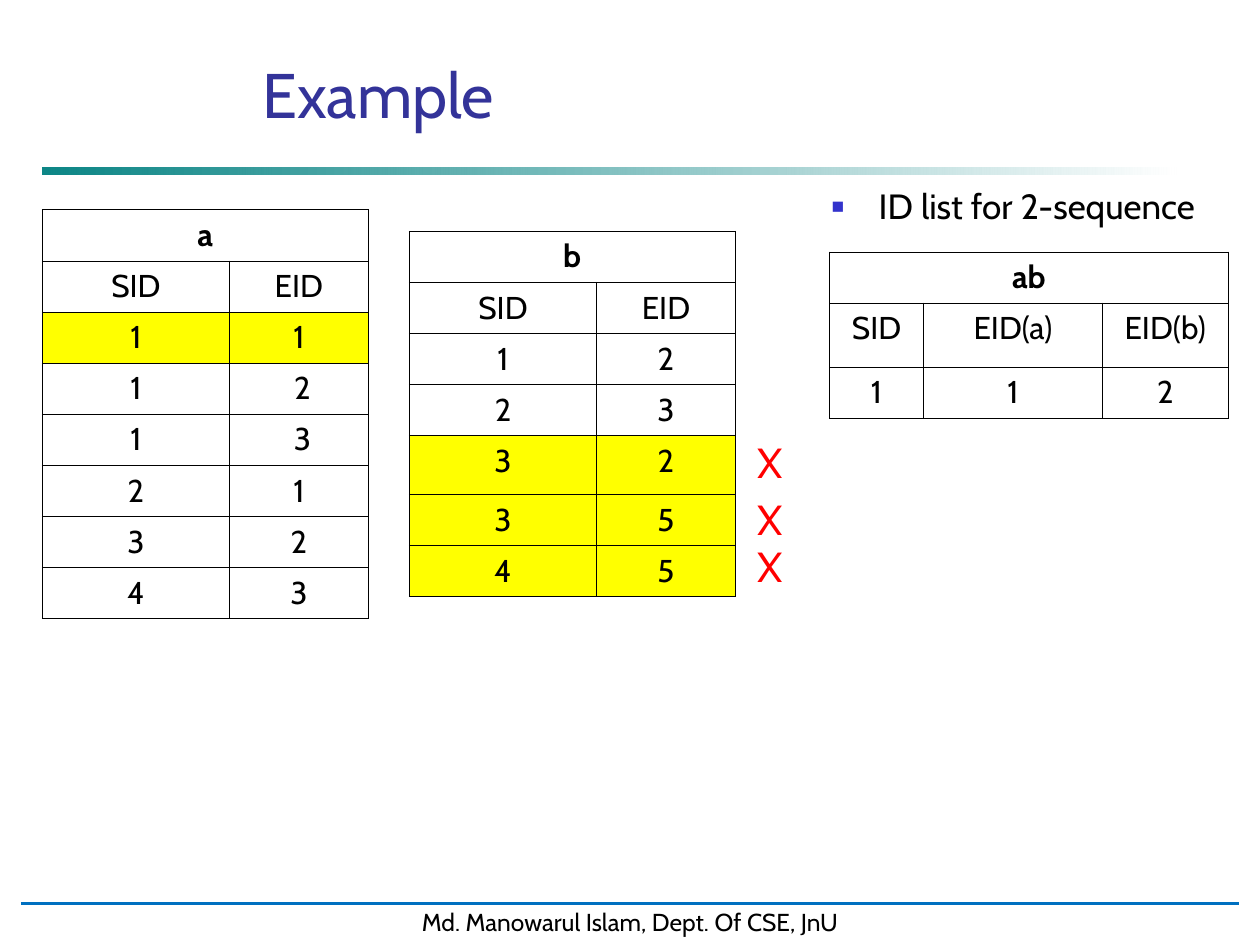
from lxml.etree import SubElement
from pptx import Presentation
from pptx.dml.color import RGBColor
from pptx.enum.shapes import MSO_CONNECTOR as LINK, MSO_SHAPE as SHAPE
from pptx.enum.text import MSO_ANCHOR as ANCHOR, MSO_AUTO_SIZE as AUTO, PP_ALIGN as ALIGN
from pptx.oxml import parse_xml
from pptx.oxml.ns import nsdecls, qn
from pptx.util import Cm, Pt

BLACK = RGBColor(0, 0, 0)
WHITE = RGBColor(255, 255, 255)
YELLOW = RGBColor(255, 255, 0)
RED = RGBColor(255, 0, 0)
INDIGO = RGBColor(0x33, 0x33, 0x99)
VIOLET = RGBColor(0x33, 0x33, 0xCC)
TEAL = RGBColor(0, 0x80, 0x80)
BLUE = RGBColor(0, 0x70, 0xC0)
FONT = "Cabin"
ROW = 1.03  # usual row height in cm


def write(frame, text, size=18, color=BLACK, bold=False, align=ALIGN.CENTER,
          anchor=ANCHOR.TOP, wrap=True):
    frame.word_wrap = wrap
    frame.vertical_anchor = anchor
    para = frame.paragraphs[0]
    para.alignment = align
    run = para.add_run()
    run.text = text
    font = run.font
    font.name, font.size, font.bold = FONT, Pt(size), bold
    font.color.rgb = color
    return para


def place(shape, left, top, width, height):
    shape.left, shape.top = Cm(left), Cm(top)
    shape.width, shape.height = Cm(width), Cm(height)


def border(cell):
    props = cell._tc.get_or_add_tcPr()
    for side in ("lnL", "lnR", "lnT", "lnB"):
        props.append(parse_xml(
            f'<a:{side} {nsdecls("a")} w="{Pt(0.45)}"><a:solidFill>'
            f'<a:srgbClr val="{BLACK}"/></a:solidFill></a:{side}>'))


def header(slide, left, top, width):
    title = slide.shapes.title
    place(title, left + 0.85, top, 11.85, 1.7)
    title.text_frame.auto_size = AUTO.NONE
    write(title.text_frame, "Example", size=36, color=INDIGO, anchor=ANCHOR.BOTTOM)

    # Fading rule under the title
    rule = slide.shapes.add_shape(SHAPE.RECTANGLE, Cm(left), Cm(top + 2.31),
                                  Cm(width), Cm(0.13))
    rule.shadow.inherit = False
    rule.line.fill.background()
    rule.fill.gradient()
    rule.fill.gradient_angle = 0
    for stop, color in zip(rule.fill.gradient_stops, (TEAL, WHITE)):
        stop.color.rgb = color
    first = rule._element.spPr.find(".//" + qn("a:srgbClr"))
    SubElement(first, qn("a:alpha"), val="95000")


def footer(slide, left, top, width):
    band = slide.shapes.add_shape(SHAPE.RECTANGLE, Cm(left), Cm(top),
                                  Cm(width), Cm(0.84))
    band.shadow.inherit = False
    band.fill.solid()
    band.fill.fore_color.rgb = WHITE
    band.line.color.rgb = WHITE
    band.line.width = Pt(2)
    write(band.text_frame, "Md. Manowarul Islam, Dept. Of CSE, JnU", size=14,
          anchor=ANCHOR.MIDDLE, wrap=False)

    line = slide.shapes.add_connector(LINK.STRAIGHT, Cm(left), Cm(top + 0.05),
                                      Cm(left + width), Cm(top + 0.05))
    line.line.color.rgb = BLUE
    line.line.width = Pt(1.75)
    SubElement(line._element.spPr, qn("a:effectLst"))


def bullet(slide, left, top, width, height):
    body = slide.placeholders[1]
    place(body, left, top, width, height)
    body.text_frame.auto_size = AUTO.NONE
    para = write(body.text_frame, "ID list for 2-sequence", size=20, align=ALIGN.LEFT)
    para.space_before = Pt(5)
    props = para._p.get_or_add_pPr()
    props.set("marL", str(Cm(0.95)))
    props.set("indent", str(-Cm(0.95)))
    color = SubElement(props, qn("a:buClr"))
    SubElement(color, qn("a:srgbClr"), val=str(VIOLET))
    SubElement(props, qn("a:buSzPct"), val="60000")
    SubElement(props, qn("a:buFont"), typeface="Arial")
    SubElement(props, qn("a:buChar"), char="■")


def id_list(slide, left, top, name, cols, rows, marked=(), tall=None):
    """Draw an ID list; marked rows are yellow, tall maps rows to heights."""
    tall = tall or {}
    highs = [tall.get(i, ROW) for i in range(len(rows) + 1)]
    table = slide.shapes.add_table(len(highs), len(cols), Cm(left), Cm(top),
                                   Cm(sum(cols)), Cm(sum(highs))).table
    table.first_row = table.horz_banding = False
    for col, wide in zip(table.columns, cols):
        col.width = Cm(wide)
    for row, high in zip(table.rows, highs):
        row.height = Cm(high)

    # Borders and fills
    for i, row in enumerate(table.rows):
        for cell in row.cells:
            border(cell)
            cell.fill.solid()
            cell.fill.fore_color.rgb = YELLOW if i in marked else WHITE

    # Name across the top, then heads and values
    table.cell(0, 0).merge(table.cell(0, len(cols) - 1))
    write(table.cell(0, 0).text_frame, name, bold=True)
    for i, row in enumerate(rows, 1):
        for j, text in enumerate(row):
            write(table.cell(i, j).text_frame, text)


def crosses(slide, left, tops):
    for top in tops:
        box = slide.shapes.add_textbox(Cm(left), Cm(top), Cm(1), Cm(1.27))
        write(box.text_frame, "X", size=24, color=RED, align=ALIGN.LEFT, wrap=False)


def main():
    deck = Presentation()
    deck.slide_width, deck.slide_height = Cm(25.4), Cm(19.05)
    slide = deck.slides.add_slide(deck.slide_layouts[1])

    header(slide, 0.85, 1.07, 22.86)
    footer(slide, 0.42, 18.16, 24.56)

    pair = (3.78, 2.79)
    heads = ("SID", "EID")
    id_list(slide, 8.25, 4.66, "b", pair,
            [heads, "12", "23", "32", "35", "45"], marked=(4, 5, 6), tall={4: 1.19})
    id_list(slide, 0.85, 4.23, "a", pair,
            [heads, "11", ("1", " 2"), ("1", " 3"), "21", "32", "43"], marked=(2,))
    id_list(slide, 16.72, 5.08, "ab", (1.9, 3.6, 2.54),
            [("SID", "EID(a)", "EID(b)"), "112"], tall={1: 1.29})

    crosses(slide, 15.03, (8.68, 9.83, 10.77))
    bullet(slide, 16.51, 3.6, 8.89, 2.12)
    deck.save("out.pptx")


if __name__ == "__main__":
    main()
